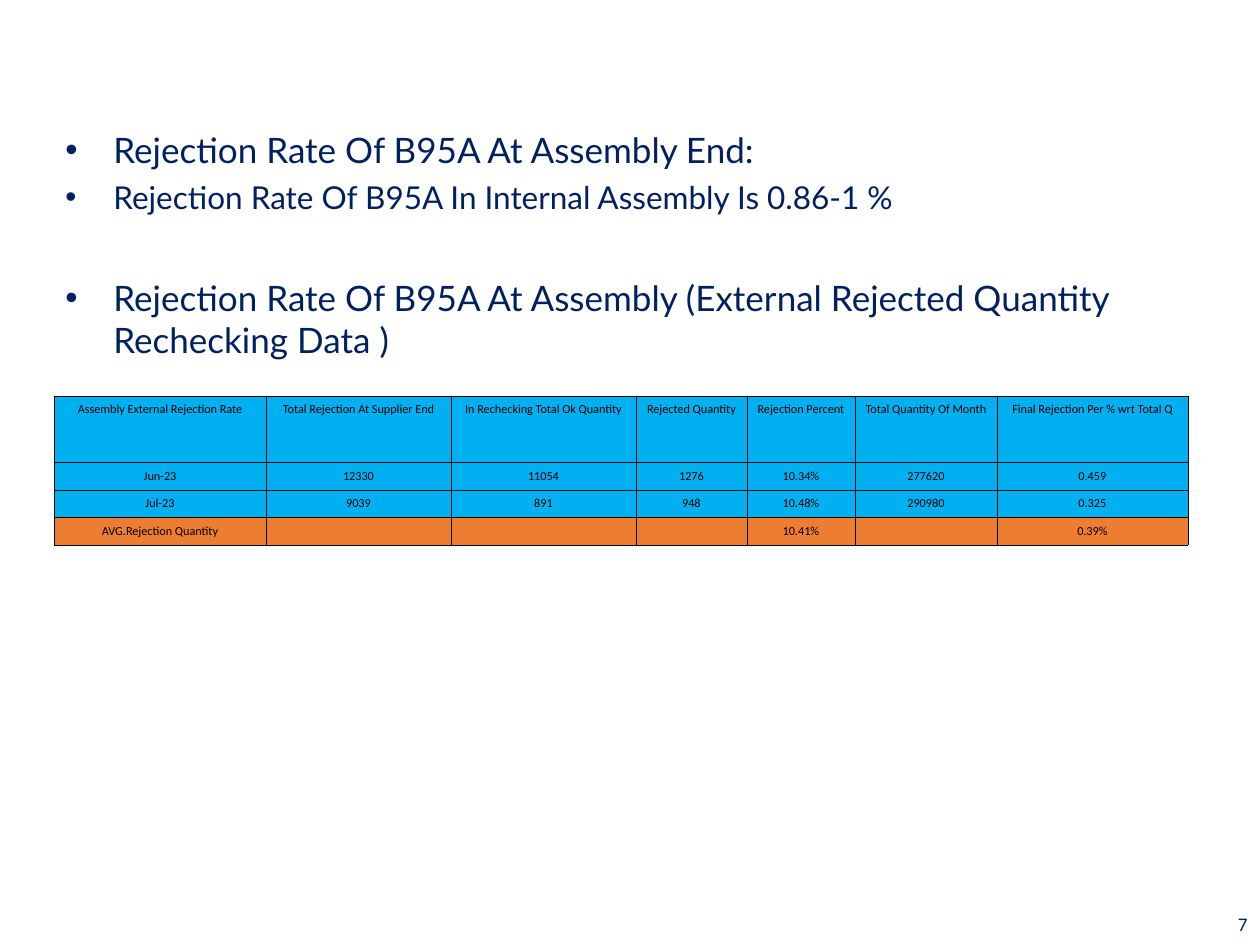
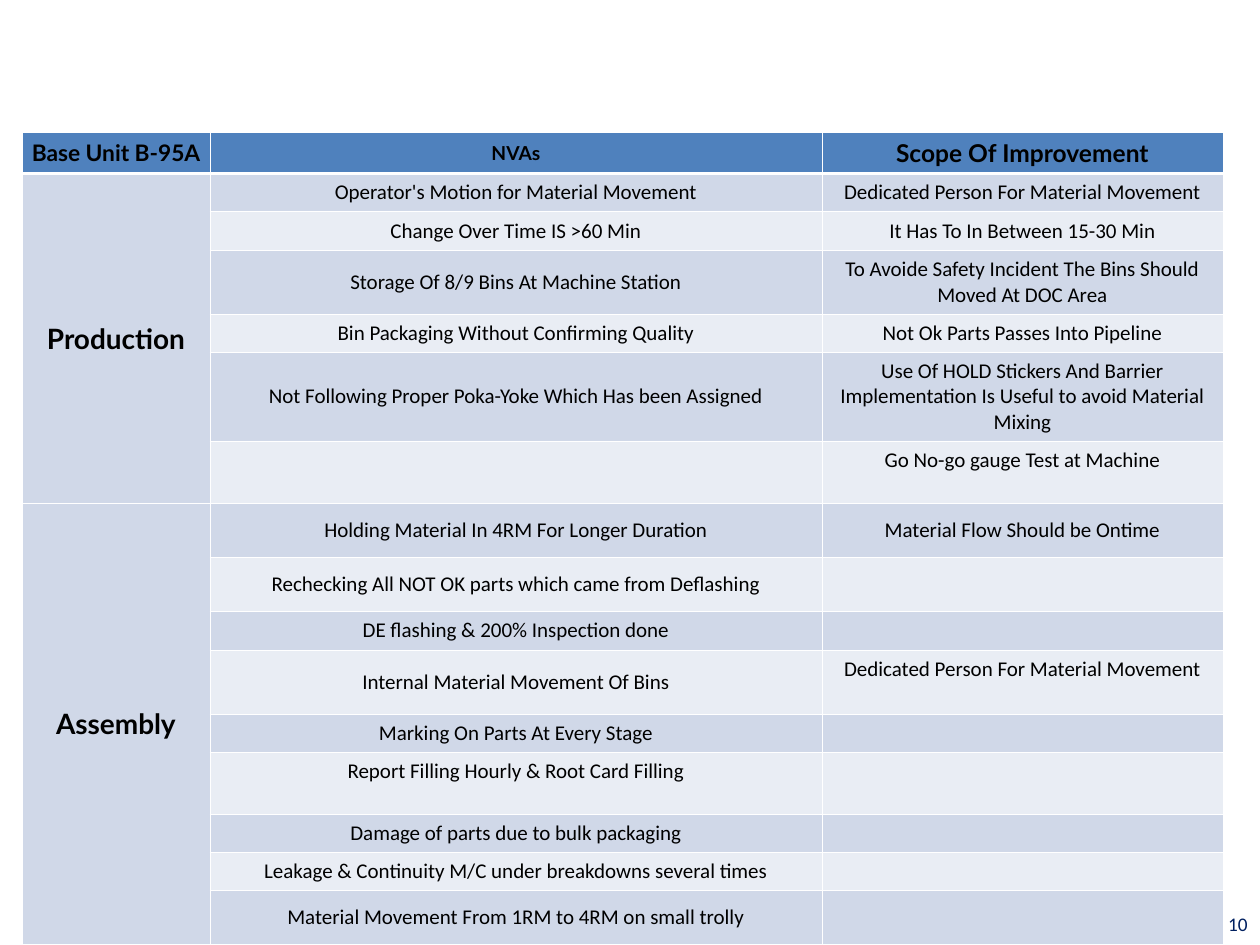
from lxml.etree import SubElement
from pptx import Presentation
from pptx.dml.color import RGBColor
from pptx.enum.text import MSO_ANCHOR, PP_ALIGN
from pptx.oxml.ns import qn
from pptx.util import Pt

NAVY, BLACK, WHITE = "002060", "000000", "FFFFFF"
SKY, ORANGE = "00B0F0", "ED7D31"
HEADER_BLUE, BAND_DARK, BAND_LIGHT = "4F81BD", "D0D8E8", "E9EDF4"
HEAD_FONT, BODY_FONT = "Lato", "Calibri"
TOP, MIDDLE, BOTTOM = MSO_ANCHOR.TOP, MSO_ANCHOR.MIDDLE, MSO_ANCHOR.BOTTOM

BULLETS = [  # text, size, space before
    ("Rejection Rate Of B95A At Assembly End:", 20, 0),
    ("Rejection Rate Of B95A In Internal Assembly Is 0.86-1 %", 18, 4.5),
    ("Rejection Rate Of B95A At Assembly (External Rejected Quantity "
     "Rechecking Data )", 20, 34.4),
]

REJECTION_COLS = [212, 185, 185, 111, 108, 142, 191]
REJECTION_ROWS = [  # height, fill, anchor, texts
    (66, SKY, TOP, ["Assembly External Rejection Rate", "Total Rejection At Supplier End",
                    "In Rechecking Total Ok Quantity", "Rejected Quantity",
                    "Rejection Percent", "Total Quantity Of Month",
                    "Final Rejection Per % wrt Total Q"]),
    (28, SKY, BOTTOM, ["Jun-23", "12330", "11054", "1276", "10.34%", "277620", "0.459"]),
    (27, SKY, BOTTOM, ["Jul-23", "9039", "891", "948", "10.48%", "290980", "0.325"]),
    (28, ORANGE, BOTTOM, ["AVG.Rejection Quantity", "", "", "", "10.41%", "", "0.39%"]),
]

NVA_COLS = [188, 612, 401]
NVA_HEADER = [("Base Unit B-95A", 13), ("NVAs", 11), ("Scope Of Improvement", 14)]
NVA_SECTIONS = {  # height, anchor, NVA, scope of improvement
    "Production": [
        (38, MIDDLE, "Operator's Motion for Material Movement",
         "Dedicated Person For Material Movement"),
        (39, MIDDLE, "Change Over Time IS >60 Min", "It Has To In Between 15-30 Min"),
        (64, MIDDLE, "Storage Of 8/9 Bins At Machine Station",
         "To Avoide Safety Incident The Bins Should Moved At DOC Area"),
        (38, MIDDLE, "Bin Packaging Without Confirming Quality",
         "Not Ok Parts Passes Into Pipeline"),
        (89, MIDDLE, "Not Following Proper Poka-Yoke Which Has been Assigned",
         "Use Of HOLD Stickers And Barrier Implementation Is Useful to avoid "
         "Material Mixing"),
        (62, TOP, "", "Go No-go gauge Test at Machine"),
    ],
    "Assembly": [
        (54, MIDDLE, "Holding Material In 4RM For Longer Duration",
         "Material Flow Should be Ontime"),
        (54, MIDDLE, "Rechecking All NOT OK parts which came from Deflashing", ""),
        (39, MIDDLE, "DE flashing & 200% Inspection done", ""),
        (64, MIDDLE, "Internal Material Movement Of Bins",
         "Dedicated Person For Material Movement"),
        (38, MIDDLE, "Marking On Parts At Every Stage", ""),
        (62, TOP, "Report Filling Hourly & Root Card Filling", ""),
        (38, MIDDLE, "Damage of parts due to bulk packaging", ""),
        (38, MIDDLE, "Leakage & Continuity M/C under breakdowns several times", ""),
        (54, MIDDLE, "Material Movement From 1RM to 4RM on small trolly", ""),
    ],
}


def px(n):
    return round(n * 914400 / 126)


def rgb(color):
    return RGBColor.from_string(color)


def format_text(p, font, size, color, bold=False):
    for r in p.runs:
        r.font.name, r.font.size, r.font.bold = font, Pt(size), bold
        r.font.color.rgb = rgb(color)


def add_text_box(s, box):
    tf = s.shapes.add_textbox(*map(px, box)).text_frame
    tf.word_wrap = True
    return tf


def add_bullets(s, box):
    tf = add_text_box(s, box)
    for i, (text, size, before) in enumerate(BULLETS):
        p = tf.add_paragraph() if i else tf.paragraphs[0]
        p.text = text
        p.space_before = Pt(before)
        pPr = p._p.get_or_add_pPr()
        pPr.set("marL", str(px(48)))
        pPr.set("indent", str(-px(48)))
        bullet_color = SubElement(pPr, qn("a:buClr"))
        SubElement(bullet_color, qn("a:srgbClr"), val=NAVY)
        SubElement(pPr, qn("a:buFont"), typeface="Arial")
        SubElement(pPr, qn("a:buChar"), char="•")
        format_text(p, HEAD_FONT, size, NAVY)


def add_page_number(s, number):
    tf = add_text_box(s, (1187, 903, 73, 42))
    tf.vertical_anchor = MIDDLE
    p = tf.paragraphs[0]
    p.text = str(number)
    p.alignment = PP_ALIGN.RIGHT
    format_text(p, BODY_FONT, 11, NAVY)


def add_plain_table(s, left, top, cols, heights):
    box = map(px, (left, top, sum(cols), sum(heights)))
    table = s.shapes.add_table(len(heights), len(cols), *box).table
    table.first_row = table.horz_banding = False
    for col, width in zip(table.columns, cols):
        col.width = px(width)
    for row, height in zip(table.rows, heights):
        row.height = px(height)
    return table


def set_borders(cell, color, width, **side_widths):
    """Draw the four sides; L, R, T or B overrides the width of one."""
    tcPr = cell._tc.get_or_add_tcPr()
    for side in "LRTB":
        line_width = Pt(side_widths.get(side, width))
        ln = SubElement(tcPr, qn(f"a:ln{side}"), w=str(line_width))
        fill = SubElement(ln, qn("a:solidFill"))
        SubElement(fill, qn("a:srgbClr"), val=color)


def fill_cell(cell, text, fill, size, anchor=MIDDLE, font=BODY_FONT, bold=False):
    """Call after set_borders, as the fill follows the lines in the XML."""
    cell.fill.solid()
    cell.fill.fore_color.rgb = rgb(fill)
    cell.margin_left = cell.margin_right = px(1)
    cell.margin_top = cell.margin_bottom = px(6)
    cell.vertical_anchor = anchor
    p = cell.text_frame.paragraphs[0]
    p.alignment = PP_ALIGN.CENTER
    if text:
        p.text = text
        format_text(p, font, size, BLACK, bold)
    else:
        SubElement(p._p, qn("a:endParaRPr"), sz=str(size * 100))


def add_rejection_table(s, left, top):
    table = add_plain_table(s, left, top, REJECTION_COLS, [row[0] for row in REJECTION_ROWS])
    for i, (_, fill, anchor, texts) in enumerate(REJECTION_ROWS):
        for j, text in enumerate(texts):
            cell = table.cell(i, j)
            set_borders(cell, BLACK, 0.23)
            fill_cell(cell, text, fill, 7, anchor)


def add_nva_table(s, left, top):
    rows = [row for section in NVA_SECTIONS.values() for row in section]
    table = add_plain_table(s, left, top, NVA_COLS, [41] + [row[0] for row in rows])
    for j, (text, size) in enumerate(NVA_HEADER):
        cell = table.cell(0, j)
        set_borders(cell, WHITE, 0.45, B=1.47)
        fill_cell(cell, text, HEADER_BLUE, size, font=HEAD_FONT, bold=True)

    for i, (_, anchor, *texts) in enumerate(rows, 1):
        for j in range(3):
            set_borders(table.cell(i, j), WHITE, 0.45, T=1.47 if i == 1 else 0.45)
        for j, text in enumerate(texts, 1):
            # Only the scope note sits at the top beside "Internal Material Movement".
            raised = j == 2 and texts[0].startswith("Internal")
            fill_cell(table.cell(i, j), text, BAND_DARK if i % 2 else BAND_LIGHT, 12,
                      TOP if raised else anchor)

    first = 1
    for name, section in NVA_SECTIONS.items():
        last = first + len(section) - 1
        cell = table.cell(first, 0)
        cell.merge(table.cell(last, 0))
        fill_cell(cell, name, BAND_DARK, 16, font=HEAD_FONT, bold=True)
        first = last + 1


def build_rejection_slide(prs):
    s = prs.slides.add_slide(prs.slide_layouts[6])
    add_bullets(s, (53, 122, 1134, 784))
    add_page_number(s, 7)
    add_rejection_table(s, 54, 396)


def build_nva_slide(prs):
    s = prs.slides.add_slide(prs.slide_layouts[6])
    add_page_number(s, 10)
    add_nva_table(s, 22, 132)


def main():
    prs = Presentation()
    prs.slide_width, prs.slide_height = px(1260), px(945)
    build_rejection_slide(prs)
    build_nva_slide(prs)
    prs.save("out.pptx")


if __name__ == "__main__":
    main()
